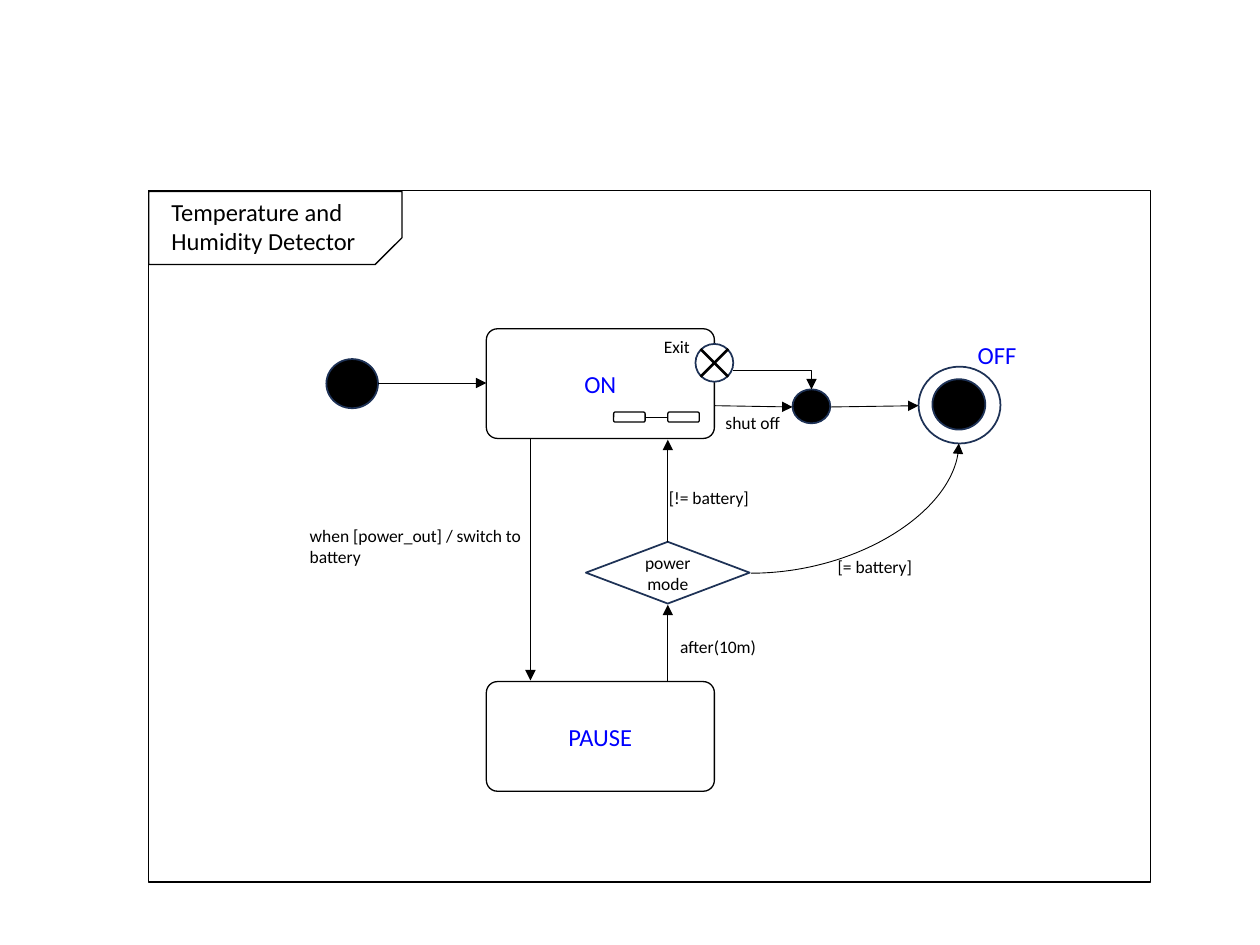
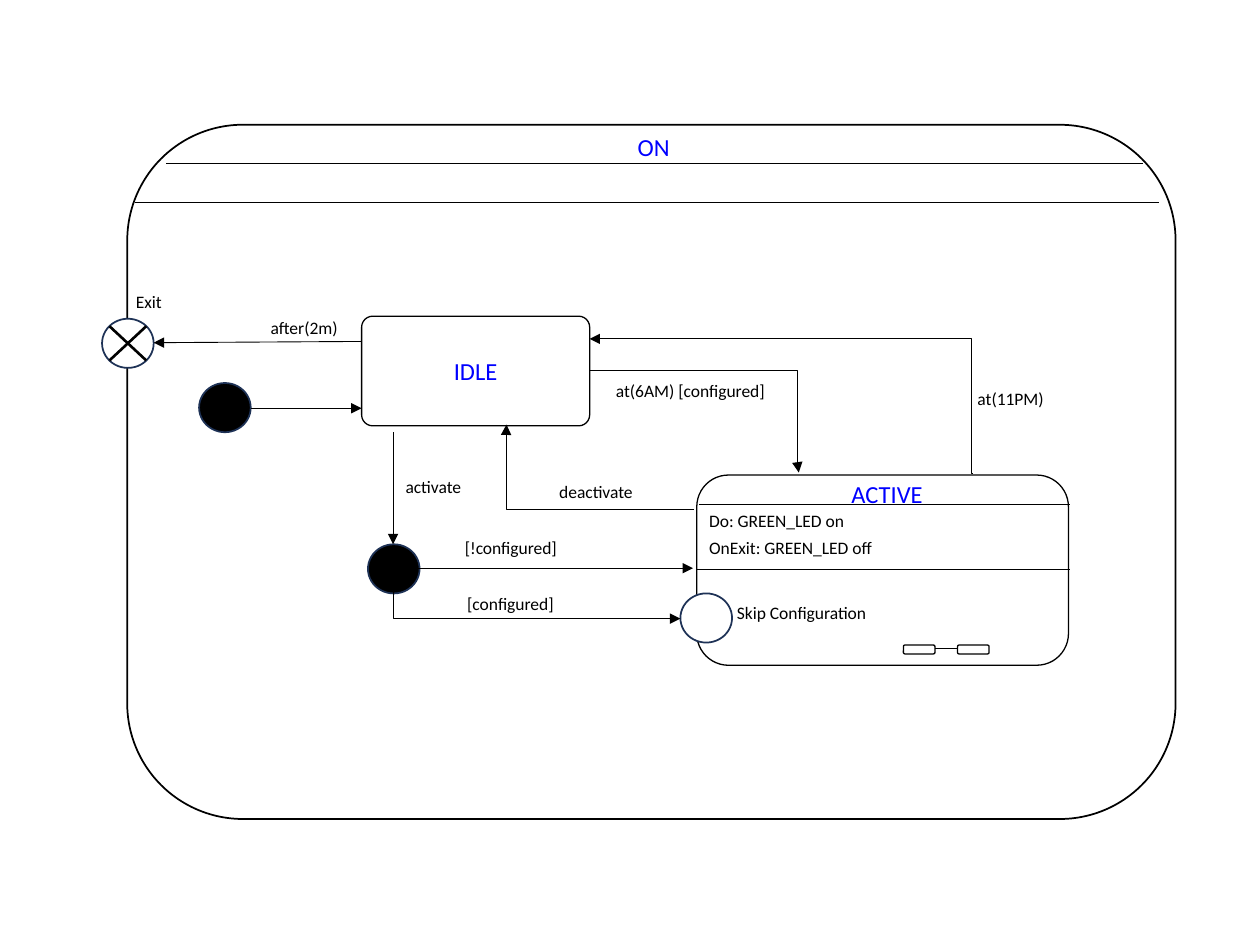
from dataclasses import dataclass
from typing import NamedTuple, Optional

from lxml.etree import SubElement
from pptx import Presentation
from pptx.dml.color import RGBColor as Rgb
from pptx.enum.shapes import MSO_CONNECTOR as Link, MSO_SHAPE as Preset
from pptx.enum.text import MSO_ANCHOR as Anchor, MSO_AUTO_SIZE as AutoSize, PP_ALIGN as Align
from pptx.oxml.ns import qn
from pptx.shapes.autoshape import Shape
from pptx.slide import Slide
from pptx.text.text import TextFrame
from pptx.util import Emu, Pt

EMU_PER_PX = 9144
SLIDE_WIDTH, SLIDE_HEIGHT = 1000, 750
TITLE_ONLY_LAYOUT = 5
CROSS_INSET = 0.146
STATE_CORNER = 0.1


@dataclass(frozen=True)
class Theme:
    font: str = "Calibri"
    ink: Rgb = Rgb(0, 0, 0)
    paper: Rgb = Rgb(255, 255, 255)
    state_name: Rgb = Rgb(0, 0, 255)
    node_edge: Rgb = Rgb(0x1E, 0x32, 0x56)
    name_size: float = 14
    label_size: float = 10
    hairline: float = 0.5
    outline: float = 0.75
    node_line: float = 1
    cross_line: float = 1.5


THEME = Theme()


class Box(NamedTuple):
    left: int
    top: int
    width: int
    height: int


class Point(NamedTuple):
    x: int
    y: int


@dataclass(frozen=True)
class State:
    name: str
    box: Box


@dataclass(frozen=True)
class Label:
    text: str
    box: Box
    wrap: bool = False
    is_name: bool = False


@dataclass(frozen=True)
class Transition:
    start: Point
    end: Point
    route: str = "line"
    turn: Optional[int] = None


def px(length: float) -> Emu:
    return Emu(round(length * EMU_PER_PX))


def emu_box(box: Box) -> list[Emu]:
    return [px(length) for length in box]


def write(frame: TextFrame, text: str, is_name: bool = False,
          color: Optional[Rgb] = None, align: Align = Align.LEFT) -> None:
    frame.text = text
    paragraph = frame.paragraphs[0]
    paragraph.alignment = align
    font = paragraph.font
    font.name = THEME.font
    font.size = Pt(THEME.name_size if is_name else THEME.label_size)
    font.color.rgb = color or (THEME.state_name if is_name else THEME.ink)


def draw_shape(slide: Slide, preset: Preset, box: Box, weight: float = THEME.outline,
               edge: Rgb = THEME.ink, fill: Optional[Rgb] = None,
               corner: Optional[float] = None) -> Shape:
    shape = slide.shapes.add_shape(preset, *emu_box(box))
    shape.shadow.inherit = False
    shape.line.color.rgb = edge
    shape.line.width = Pt(weight)
    if fill is None:
        shape.fill.background()
    else:
        shape.fill.solid()
        shape.fill.fore_color.rgb = fill
    if corner is not None:
        shape.adjustments[0] = corner
    return shape


def draw_node(slide: Slide, box: Box, fill: Optional[Rgb] = THEME.ink,
              preset: Preset = Preset.FLOWCHART_CONNECTOR) -> Shape:
    return draw_shape(slide, preset, box, THEME.node_line, THEME.node_edge, fill)


def draw_line(slide: Slide, start: Point, end: Point, weight: float = THEME.hairline,
              arrow: bool = False, route: str = "line", turn: Optional[int] = None) -> None:
    kind = Link.STRAIGHT if route == "line" else Link.CURVE if "curved" in route else Link.ELBOW
    line = slide.shapes.add_connector(kind, px(start.x), px(start.y), px(end.x), px(end.y))
    line.line.color.rgb = THEME.ink
    line.line.width = Pt(weight)
    properties = line.element.spPr
    geometry = properties.find(qn("a:prstGeom"))
    geometry.set("prst", route)
    if turn is not None:
        SubElement(geometry.find(qn("a:avLst")), qn("a:gd"), name="adj1", fmla=f"val {turn}")
    if arrow:
        SubElement(properties.find(qn("a:ln")), qn("a:tailEnd"), type="triangle")
    SubElement(properties, qn("a:effectLst"))


def draw_transitions(slide: Slide, transitions: list[Transition]) -> None:
    for step in transitions:
        draw_line(slide, step.start, step.end, arrow=True, route=step.route, turn=step.turn)


def draw_state(slide: Slide, state: State) -> None:
    shape = draw_shape(slide, Preset.ROUNDED_RECTANGLE, state.box, corner=STATE_CORNER)
    shape.text_frame.word_wrap = False
    shape.text_frame.vertical_anchor = Anchor.MIDDLE
    write(shape.text_frame, state.name, is_name=True, align=Align.CENTER)


def draw_labels(slide: Slide, labels: list[Label]) -> None:
    for label in labels:
        frame = slide.shapes.add_textbox(*emu_box(label.box)).text_frame
        frame.word_wrap = label.wrap
        frame.auto_size = AutoSize.SHAPE_TO_FIT_TEXT
        write(frame, label.text, label.is_name)


def draw_exit_point(slide: Slide, box: Box) -> None:
    draw_node(slide, box, THEME.paper)
    dx, dy = round(box.width * CROSS_INSET), round(box.height * CROSS_INSET)
    left, right = box.left + dx, box.left + box.width - dx
    top, bottom = box.top + dy, box.top + box.height - dy
    draw_line(slide, Point(left, bottom), Point(right, top), THEME.cross_line)
    draw_line(slide, Point(left, top), Point(right, bottom), THEME.cross_line)


def draw_submachine_icon(slide: Slide, left: int, top: int, height: int) -> None:
    width, pitch = 25, 43
    for x in (left, left + pitch):
        draw_shape(slide, Preset.ROUNDED_RECTANGLE, Box(x, top, width, height))
    middle = top + height // 2
    draw_line(slide, Point(left + width, middle), Point(left + pitch, middle))


def set_title(slide: Slide, text: str, box: Box, color: Rgb, wrap: bool) -> None:
    title = slide.shapes.title
    title.left, title.top, title.width, title.height = emu_box(box)
    frame = title.text_frame
    frame.word_wrap = wrap
    frame.auto_size = AutoSize.NONE
    frame.vertical_anchor = Anchor.TOP
    write(frame, text, is_name=True, color=color)


def build_detector(slide: Slide) -> None:
    set_title(slide, "Temperature and Humidity Detector", Box(126, 151, 192, 56), THEME.ink, True)
    draw_shape(slide, Preset.RECTANGLE, Box(118, 151, 795, 549))
    tab = draw_shape(slide, Preset.SNIP_1_RECTANGLE, Box(118, 152, 201, 58), corner=0.367)
    tab.element.spPr.xfrm.set("flipV", "1")

    for state in (State("ON", Box(386, 261, 181, 87)), State("PAUSE", Box(386, 541, 181, 87))):
        draw_state(slide, state)
    draw_submachine_icon(slide, 487, 327, 8)

    draw_node(slide, Box(259, 285, 41, 39))
    draw_node(slide, Box(629, 309, 30, 27))
    draw_node(slide, Box(740, 301, 42, 40))
    draw_node(slide, Box(729, 291, 65, 61), fill=None)
    draw_exit_point(slide, Box(552, 273, 30, 30))
    decision = draw_node(slide, Box(465, 430, 130, 49), None, Preset.FLOWCHART_DECISION)
    decision.text_frame.vertical_anchor = Anchor.MIDDLE
    write(decision.text_frame, "power mode", align=Align.CENTER)

    draw_transitions(slide, [
        Transition(Point(300, 304), Point(386, 304)),
        Transition(Point(421, 348), Point(421, 540)),
        Transition(Point(530, 541), Point(530, 480)),
        Transition(Point(530, 430), Point(530, 349)),
        Transition(Point(596, 455), Point(761, 352), "curvedConnector2"),
        Transition(Point(659, 323), Point(729, 322)),
        Transition(Point(567, 322), Point(629, 323)),
        Transition(Point(582, 294), Point(644, 309), "bentConnector2"),
    ])
    draw_labels(slide, [
        Label("shut off", Box(566, 322, 64, 27)),
        Label("when [power_out] / switch to battery", Box(236, 412, 201, 44), wrap=True),
        Label("after(10m)", Box(530, 500, 82, 27)),
        Label("[!= battery]", Box(521, 382, 85, 27)),
        Label("[= battery]", Box(655, 436, 84, 27)),
        Label("OFF", Box(766, 265, 51, 34), is_name=True),
        Label("Exit", Box(517, 262, 59, 27), wrap=True),
    ])


def build_on_state(slide: Slide) -> None:
    set_title(slide, "ON", Box(496, 100, 46, 34), THEME.state_name, False)
    draw_shape(slide, Preset.ROUNDED_RECTANGLE, Box(101, 99, 832, 551), THEME.node_line)
    draw_shape(slide, Preset.ROUNDED_RECTANGLE, Box(553, 377, 295, 151))
    for left, right, y in ((132, 907, 130), (107, 920, 161), (555, 849, 400), (553, 849, 452)):
        draw_line(slide, Point(left, y), Point(right, y))
    draw_submachine_icon(slide, 717, 512, 7)

    draw_state(slide, State("IDLE", Box(287, 251, 181, 87)))
    draw_node(slide, Box(158, 304, 41, 39))
    draw_node(slide, Box(292, 432, 41, 39))
    draw_node(slide, Box(540, 471, 41, 39), THEME.paper)
    draw_exit_point(slide, Box(81, 253, 41, 39))

    draw_transitions(slide, [
        Transition(Point(199, 324), Point(287, 324)),
        Transition(Point(287, 271), Point(122, 272)),
        Transition(Point(468, 294), Point(634, 375), "bentConnector3", 99400),
        Transition(Point(312, 343), Point(312, 432)),
        Transition(Point(332, 451), Point(550, 451)),
        Transition(Point(312, 470), Point(540, 491), "bentConnector3", 0),
        Transition(Point(772, 376), Point(468, 269), "bentConnector3", 400),
        Transition(Point(551, 404), Point(402, 337), "bentConnector3", 100200),
    ])
    draw_labels(slide, [
        Label("ACTIVE", Box(666, 375, 77, 29), wrap=True, is_name=True),
        Label("after(2m)", Box(205, 247, 75, 27)),
        Label("Exit", Box(98, 226, 41, 27)),
        Label("at(6AM) [configured]", Box(479, 297, 140, 27)),
        Label("[!configured]", Box(359, 421, 95, 27)),
        Label("[configured]", Box(361, 466, 90, 27)),
        Label("activate", Box(312, 373, 65, 27)),
        Label("Skip Configuration", Box(575, 473, 128, 27)),
        Label("at(11PM)", Box(766, 303, 73, 27)),
        Label("deactivate", Box(434, 377, 80, 27)),
        Label("Do: GREEN_LED on", Box(553, 400, 128, 27)),
        Label("OnExit: GREEN_LED off", Box(553, 421, 151, 27)),
    ])


def main() -> None:
    deck = Presentation()
    deck.slide_width, deck.slide_height = px(SLIDE_WIDTH), px(SLIDE_HEIGHT)
    for build in (build_detector, build_on_state):
        build(deck.slides.add_slide(deck.slide_layouts[TITLE_ONLY_LAYOUT]))
    deck.save("out.pptx")


if __name__ == "__main__":
    main()
